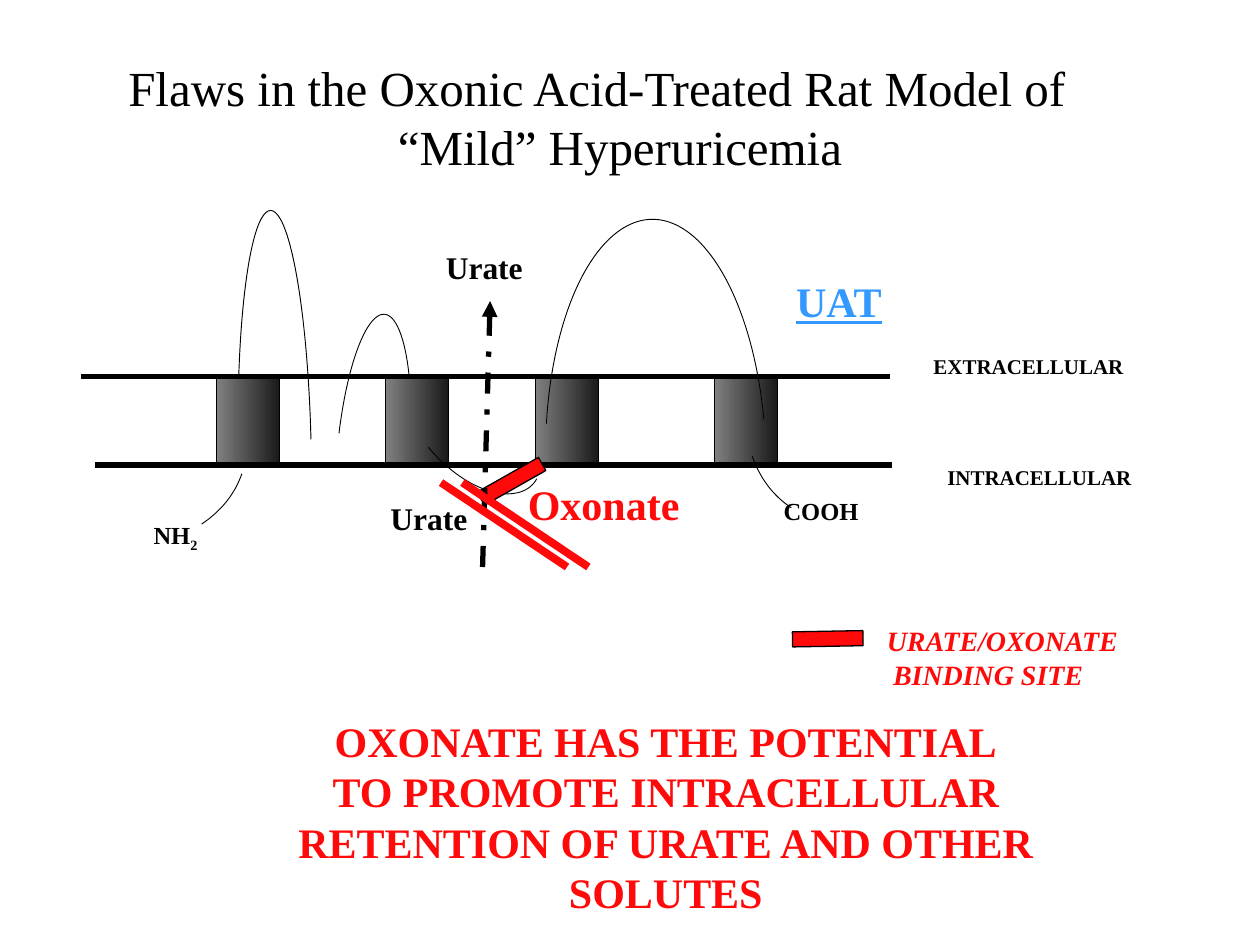
from lxml import etree
from pptx import Presentation
from pptx.dml.color import RGBColor
from pptx.enum.dml import MSO_LINE
from pptx.enum.shapes import MSO_CONNECTOR, MSO_SHAPE
from pptx.enum.text import MSO_AUTO_SIZE, PP_ALIGN
from pptx.oxml.ns import qn
from pptx.util import Inches, Pt

STRAIGHT = MSO_CONNECTOR.STRAIGHT
RECT = MSO_SHAPE.RECTANGLE
BLOCK_ARC = MSO_SHAPE.BLOCK_ARC
DASH_DOT = MSO_LINE.DASH_DOT
FIT_SHAPE = MSO_AUTO_SIZE.SHAPE_TO_FIT_TEXT
LEFT, CENTER = PP_ALIGN.LEFT, PP_ALIGN.CENTER

FONT = "Times New Roman"
BLACK, RED, BLUE, PALE = "000000", "FF0A0A", "3399FF", "BBE0E3"
DARK_GREY, MID_GREY = "1A1A1A", "808080"


def rgb(value):
    return RGBColor.from_string(value)


def add_run(p, text, size, color=BLACK, bold=True, italic=False, underline=False):
    r = p.add_run()
    r.text = text
    font = r.font
    font.name, font.size, font.color.rgb = FONT, Pt(size), rgb(color)
    font.bold, font.italic, font.underline = bold, italic, underline
    return r


def add_text(s, box, lines, size, indents=(), align=LEFT, wrap=False, **style):
    """Add one paragraph per line; indents are left margins in inches."""
    tf = s.shapes.add_textbox(*map(Inches, box)).text_frame
    tf.word_wrap = wrap
    tf.auto_size = FIT_SHAPE
    for i, line in enumerate(lines):
        p = tf.add_paragraph() if i else tf.paragraphs[0]
        p.alignment = align
        if i < len(indents):
            p._p.get_or_add_pPr().set("marL", str(Inches(indents[i])))
        add_run(p, line, size, **style)
    return tf


def add_line(s, start, end, width, color=BLACK):
    line = s.shapes.add_connector(STRAIGHT, *map(Inches, start + end))
    line.line.width = Pt(width)
    line.line.color.rgb = rgb(color)
    etree.SubElement(line._element.spPr, qn("a:effectLst"))
    return line


def add_preset(s, kind, box, fill, line_width, rotation=0):
    sp = s.shapes.add_shape(kind, *map(Inches, box))
    sp.shadow.inherit = False
    sp.rotation = rotation
    sp.fill.solid()
    sp.fill.fore_color.rgb = rgb(fill)
    sp.line.color.rgb = rgb(BLACK)
    sp.line.width = Pt(line_width)
    return sp


def add_loop(s, box, rotation, start, end):
    """Draw a hairline arc; start and end are degrees."""
    sp = add_preset(s, BLOCK_ARC, box, PALE, 0.5, rotation)
    for i, degrees in enumerate((start, end)):
        sp.adjustments[i] = degrees * 0.6
    sp.adjustments[2] = 0


def add_curve(s, x, y, start, *segments, steps=16):
    """Draw cubic Bezier segments, each given as two controls and an end."""
    points = []
    p0 = start
    for c1, c2, p3 in segments:
        for k in range(1, steps + 1):
            t = k / steps
            u = 1 - t
            points.append(tuple(
                Inches(o + u**3 * a + 3 * u * u * t * b + 3 * u * t * t * c + t**3 * d)
                for o, a, b, c, d in zip((x, y), p0, c1, c2, p3)))
        p0 = p3
    builder = s.shapes.build_freeform(Inches(x + start[0]), Inches(y + start[1]))
    builder.add_line_segments(points, close=False)
    sp = builder.convert_to_shape()
    sp.shadow.inherit = False
    sp.fill.background()
    sp.line.color.rgb = rgb(BLACK)
    sp.line.width = Pt(0.5)


def add_binding_site(s, x, y, rotation):
    add_preset(s, RECT, (x, y, 0.56, 0.12), RED, 0.75, rotation)


def draw_title(s, x, y):
    add_text(s, (x, y, 7.67, 2.24),
             ["Flaws in the Oxonic Acid-Treated Rat Model of", "“Mild” Hyperuricemia"],
             28, indents=(0, 2.14), bold=False)


def draw_membrane(s, x, y):
    """Draw the transporter: four spans, two faces, loops and tails."""
    add_loop(s, (x + 1.39, y + 0.17, 0.58, 3.85), 179, 20.05, 159.95)
    add_loop(s, (x + 2.17, y + 0.99, 0.58, 2.33), 184.5, 34.47, 145.53)
    for left in (1.22, 2.56, 3.75, 5.17):
        sp = add_preset(s, RECT, (x + left, y + 1.49, 0.5, 0.71), MID_GREY, 0.75)
        sp.fill.gradient()
        sp.fill.gradient_angle = 180
        for stop, color in zip(sp.fill.gradient_stops, (DARK_GREY, MID_GREY)):
            stop.color.rgb = rgb(color)
    add_line(s, (x + 0.14, y + 1.49), (x + 6.56, y + 1.49), 3)
    add_line(s, (x + 0.25, y + 2.19), (x + 6.58, y + 2.19), 3)
    add_curve(s, x, y, (1.42, 2.26), ((1.36, 2.43), (1.25, 2.56), (1.1, 2.66)))
    add_curve(s, x, y, (3.76, 2.3), ((3.71, 2.4), (3.57, 2.45), (3.4, 2.4)),
              ((3.24, 2.36), (3.05, 2.23), (2.9, 2.05)))
    add_loop(s, (x + 3.83, y + 0.24, 1.75, 3.84), 179, 20.05, 159.95)
    add_curve(s, x, y, (5.78, 2.53), ((5.63, 2.43), (5.53, 2.29), (5.47, 2.12)))

    add_text(s, (x + 6.81, y + 1.26, 1.75, 0.3), ["EXTRACELLULAR"], 12)
    add_text(s, (x + 6.92, y + 2.14, 1.7, 0.3), ["INTRACELLULAR"], 12)
    tf = add_text(s, (x + 0.62, y + 2.58, 0.55, 0.37), ["NH"], 14)
    r = add_run(tf.paragraphs[0], "2", 14)
    r._r.get_or_add_rPr().set("baseline", "-25000")
    add_text(s, (x + 5.62, y + 2.39, 0.85, 0.34), ["COOH"], 14)
    add_text(s, (x + 5.72, y + 0.64, 0.94, 0.5), ["UAT"], 24, color=BLUE, underline=True)


def draw_blocked_flow(s, x, y):
    """Draw the urate arrow, the oxonate site and the double block."""
    add_binding_site(s, x + 0.78, y + 1.86, 330.5)
    arrow = add_line(s, (x + 0.83, y + 2.6), (x + 0.89, y + 0.49), 3)
    arrow.line.dash_style = DASH_DOT
    etree.SubElement(arrow.line._get_or_add_ln(), qn("a:tailEnd"), type="triangle")
    for left, top in ((0, 2.01), (0.44, 0.02)):
        add_text(s, (x + left, y + top, 0.85, 0.7), ["Urate"], 18)
    add_text(s, (x + 1.09, y + 1.85, 1.48, 0.5), ["Oxonate"], 24, color=RED)
    for left in (0.67, 0.5):
        add_line(s, (x + left + 1, y + 2.6), (x + left, y + 1.93), 4.5, RED)


def draw_legend(s, x, y):
    add_binding_site(s, x, y + 0.11, 359)
    add_text(s, (x + 0.65, y, 2.1, 0.64), ["URATE/OXONATE", "BINDING SITE"],
             16, indents=(0, 0.05), color=RED, italic=True)


def draw_conclusion(s, x, y):
    add_text(s, (x, y, 6.77, 1.7),
             ["OXONATE HAS THE POTENTIAL", "TO PROMOTE INTRACELLULAR",
              "RETENTION OF URATE AND OTHER", "SOLUTES"],
             24, align=CENTER, wrap=True, color=RED)


def main():
    prs = Presentation()
    prs.slide_width, prs.slide_height = Inches(10), Inches(7.5)
    s = prs.slides.add_slide(prs.slide_layouts[6])
    draw_title(s, 0.92, 0.41)
    draw_membrane(s, 0.5, 1.5)
    draw_blocked_flow(s, 3, 1.9)
    draw_legend(s, 6.29, 4.9)
    draw_conclusion(s, 1.9, 5.63)
    prs.save("out.pptx")


if __name__ == "__main__":
    main()
